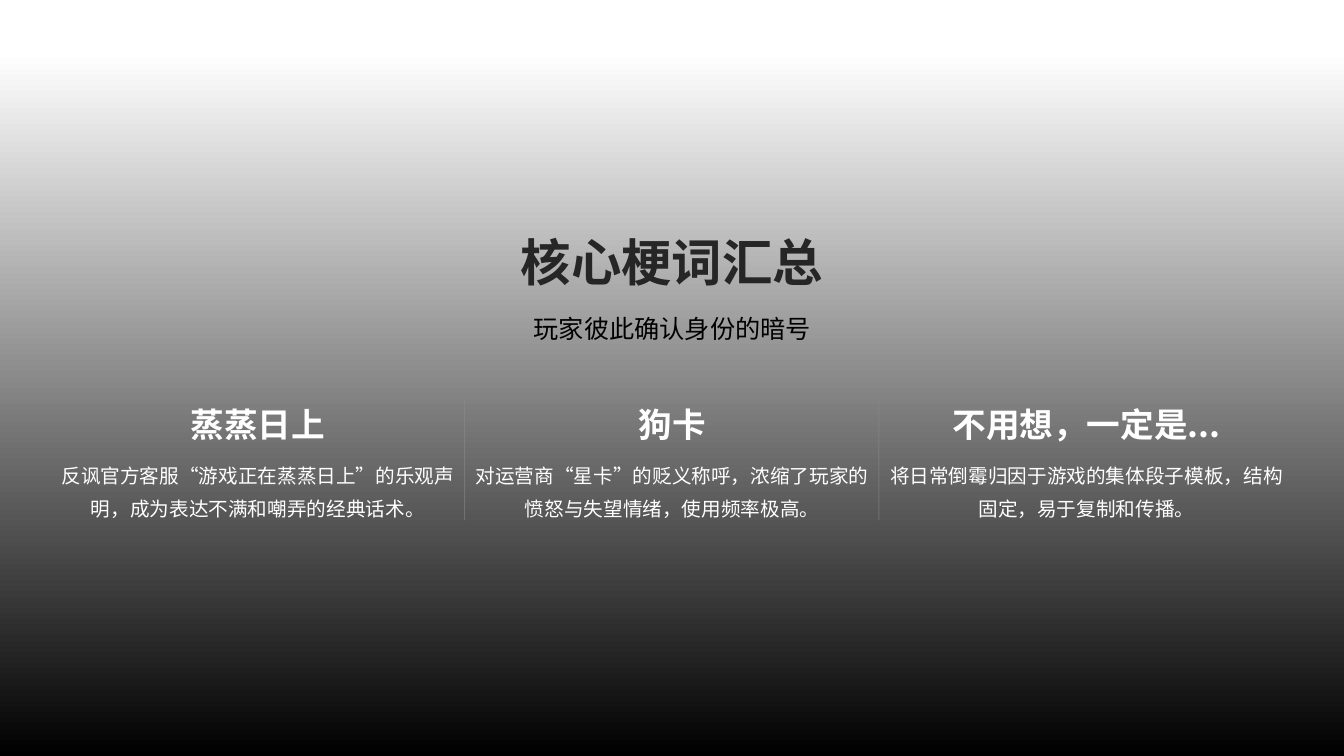
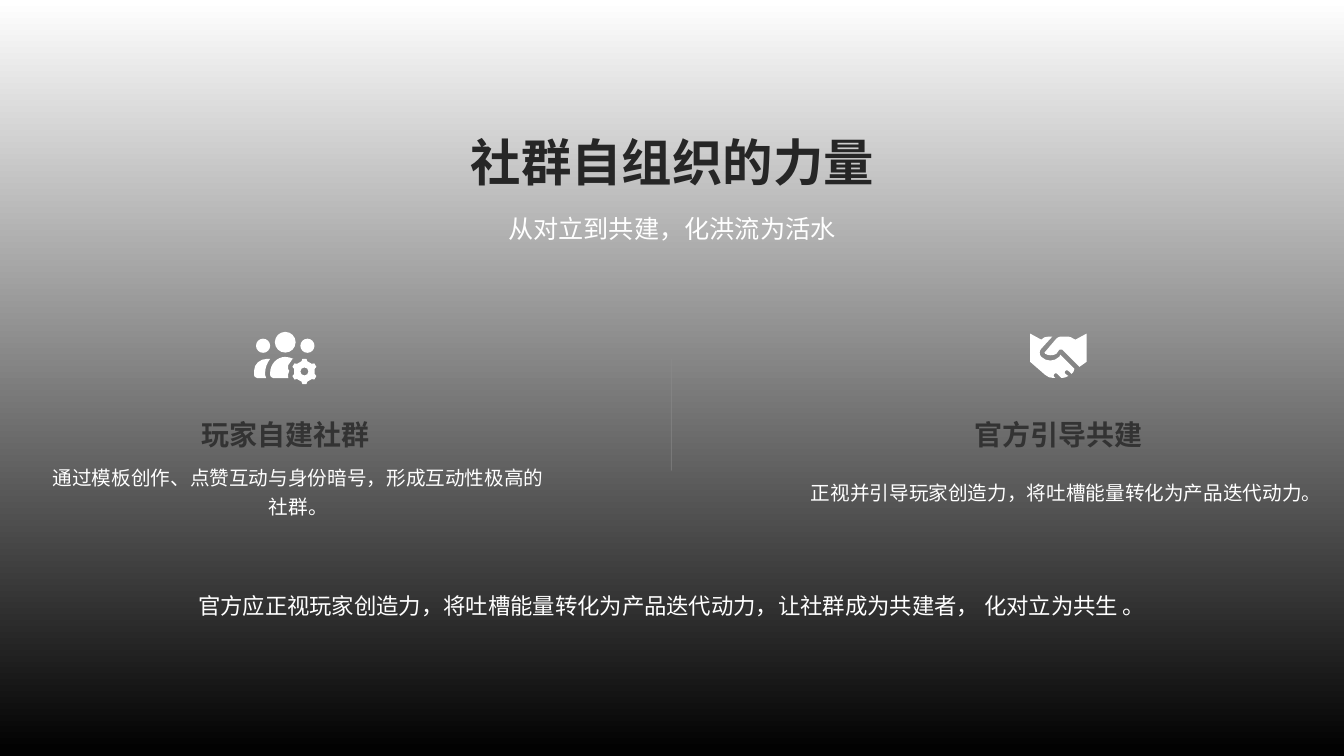
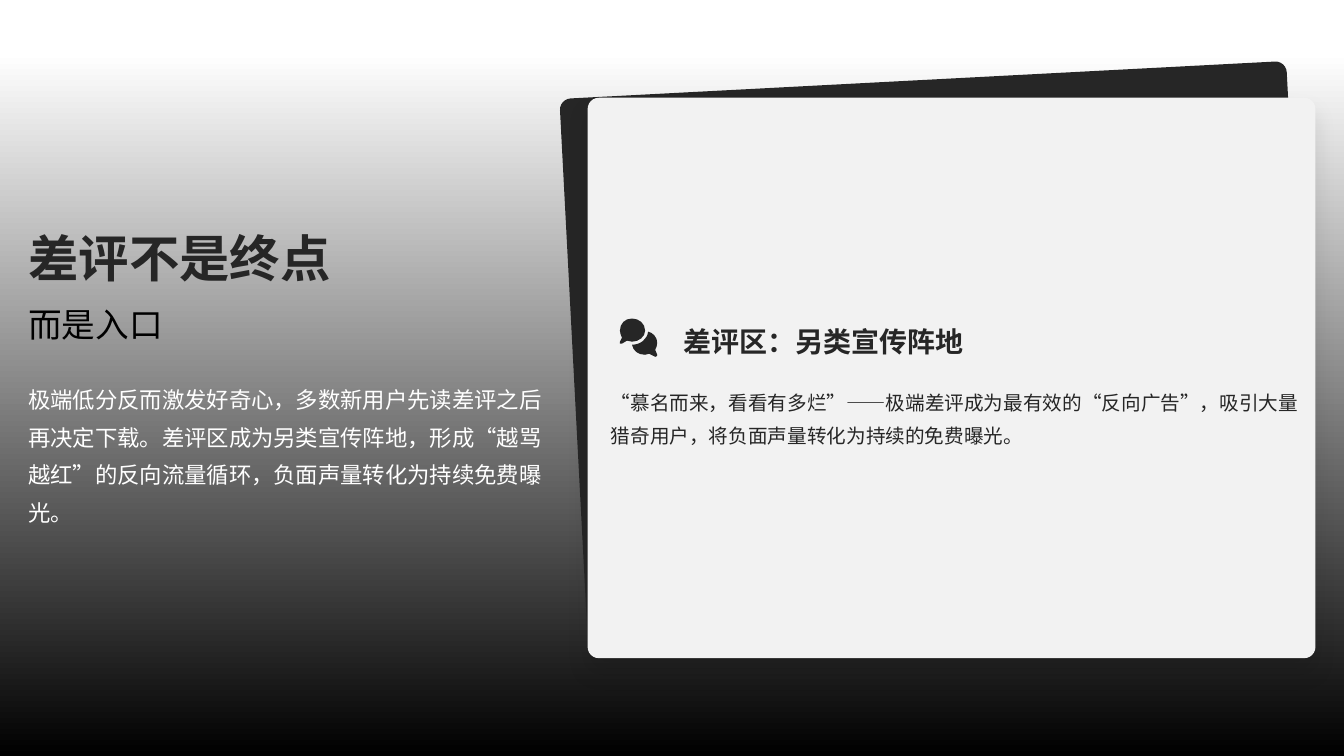
from dataclasses import dataclass
from math import cos, radians, sin

from lxml.etree import SubElement
from pptx import Presentation
from pptx.dml.color import RGBColor
from pptx.enum.shapes import MSO_CONNECTOR, MSO_SHAPE
from pptx.enum.text import MSO_ANCHOR, MSO_AUTO_SIZE, PP_ALIGN
from pptx.oxml.ns import qn
from pptx.util import Emu, Pt

PX = 9144
FONT = "Noto Sans CJK SC"
WHITE = RGBColor(0xFF, 0xFF, 0xFF)
BLACK = RGBColor(0x00, 0x00, 0x00)
DARK = RGBColor(0x26, 0x26, 0x26)
HEADING = RGBColor(0x33, 0x33, 0x33)
RULE = RGBColor(0x8C, 0x8C, 0x8C)
PANEL = RGBColor(0xF2, 0xF2, 0xF2)
LEFT, CENTER = PP_ALIGN.LEFT, PP_ALIGN.CENTER

Point = tuple[float, float]
Contour = list[tuple[float, ...]]
Box = tuple[int, int, int, int]


@dataclass(frozen=True)
class Style:
    size: int
    color: RGBColor
    spacing: float
    bold: bool = False
    align: PP_ALIGN = CENTER


@dataclass(frozen=True)
class Term:
    name: str
    meaning: str


@dataclass(frozen=True)
class Force:
    heading: str
    heading_x: int
    body: str
    body_x: int
    body_w: int
    icon: list[Contour]


def px(value: float) -> Emu:
    return Emu(round(value * PX))


def write(sp, box: Box, text: str, style: Style) -> None:
    sp.left, sp.top, sp.width, sp.height = map(px, box)
    tf = sp.text_frame
    tf.word_wrap = True
    tf.auto_size = MSO_AUTO_SIZE.NONE
    tf.vertical_anchor = MSO_ANCHOR.MIDDLE
    tf.margin_left = tf.margin_top = tf.margin_right = tf.margin_bottom = 0
    p = tf.paragraphs[0]
    p.text = text
    p.alignment = style.align
    p.line_spacing = style.spacing
    p.font.size = Pt(style.size)
    p.font.bold = style.bold
    p.font.color.rgb = style.color
    p.font.name = FONT
    latin = next(p._p.iter(qn("a:latin")))
    SubElement(latin.getparent(), qn("a:ea"), typeface=FONT)


def add_label(s, box: Box, text: str, style: Style) -> None:
    write(s.shapes.add_textbox(0, 0, 0, 0), box, text, style)


def add_slide(prs, title: str, box: Box, align: PP_ALIGN, white_until: float):
    s = prs.slides.add_slide(prs.slide_layouts[5])
    fill = s.background.fill
    fill.gradient()
    fill.gradient_angle = 270
    for stop, color, position in zip(fill.gradient_stops, (WHITE, BLACK), (white_until, 1)):
        stop.color.rgb = color
        stop.position = position
    write(s.shapes.title, box, title, Style(36, DARK, 0.9, True, align))
    return s


def add_divider(s, x: int, top: int, bottom: int) -> None:
    line = s.shapes.add_connector(MSO_CONNECTOR.STRAIGHT, px(x), px(top), px(x), px(bottom))
    line.line.color.rgb = RULE
    line.line.width = Pt(0.67)
    sp_pr = line._element.spPr
    SubElement(next(sp_pr.iter(qn("a:srgbClr"))), qn("a:alpha"), val="50000")
    SubElement(sp_pr, qn("a:effectLst"))


def paint(sp, color: RGBColor) -> None:
    sp.shadow.inherit = False
    sp.fill.solid()
    sp.fill.fore_color.rgb = color
    sp.line.fill.background()


def add_panel(s, box: Box, color: RGBColor, rotation: int = 0):
    sp = s.shapes.add_shape(MSO_SHAPE.ROUNDED_RECTANGLE, *map(px, box))
    sp.adjustments[0] = 0.02
    sp.rotation = rotation
    paint(sp, color)
    return sp


def add_soft_shadow(sp) -> None:
    effects = sp._element.spPr.find(qn("a:effectLst"))
    shadow = SubElement(effects, qn("a:outerShdw"), blurRad=str(Pt(15)), dist=str(Pt(10)),
                        dir="5400000", algn="ctr", rotWithShape="0")
    color = SubElement(shadow, qn("a:srgbClr"), val=str(BLACK))
    SubElement(color, qn("a:alpha"), val="10000")


def points_of(segment: tuple[float, ...]) -> list[tuple[Emu, Emu]]:
    return [(px(x), px(y)) for x, y in zip(segment[::2], segment[1::2])]


def add_icon(s, contours: list[Contour], color: RGBColor) -> None:
    builder = s.shapes.build_freeform(*points_of(contours[0][0])[0], scale=1.0)
    for i, (start, *segments) in enumerate(contours):
        if i:
            builder.move_to(*points_of(start)[0])
        builder.add_line_segments([pt for seg in segments for pt in points_of(seg)], close=True)
    sp = builder.convert_to_shape()
    bend_segments(sp, contours)
    paint(sp, color)


def bend_segments(sp, contours: list[Contour]) -> None:
    commands = iter(list(next(sp._element.iter(qn("a:path")))))
    for _, *segments in contours:
        next(commands)
        for segment in segments:
            first, *others = [next(commands) for _ in segment[::2]]
            if others:
                first.tag = qn("a:cubicBezTo")
                for command in others:
                    first.append(command[0])
                    command.getparent().remove(command)
        closing = next(commands)
        while closing.tag != qn("a:close"):
            closing = next(commands)


def polar(cx: float, cy: float, radius: float, degrees: float) -> Point:
    return cx + radius * cos(radians(degrees)), cy + radius * sin(radians(degrees))


def circle(cx: float, cy: float, r: float) -> Contour:
    k = 0.55 * r
    return [(cx, cy - r),
            (cx + k, cy - r, cx + r, cy - k, cx + r, cy),
            (cx + r, cy + k, cx + k, cy + r, cx, cy + r),
            (cx - k, cy + r, cx - r, cy + k, cx - r, cy),
            (cx - r, cy - k, cx - k, cy - r, cx, cy - r)]


def gear(cx: float, cy: float) -> Contour:
    tooth = ((-16, 10.5), (-9, 12.7), (9, 12.7), (16, 10.5))
    return [polar(cx, cy, radius, middle + offset)
            for middle in range(-90, 270, 60) for offset, radius in tooth]


COMMUNITY_ICON = [
    circle(283, 339.5, 10.3), circle(261, 343, 7), circle(305, 343, 7),
    [(252, 368), (252, 372), (252, 373, 253, 375, 255, 375), (264, 375),
     (263, 374, 263, 373, 263, 372), (263, 370), (263, 365, 265, 360, 268, 356),
     (267, 356, 266, 356, 265, 356), (258, 356, 252, 361, 252, 368)],
    [(268, 370), (268, 372), (268, 373, 269, 375, 271, 375), (286, 375),
     (285, 373, 286, 370, 287, 368), (286, 367, 285, 365, 286, 362),
     (287, 361, 288, 359, 289, 358), (289, 357, 290, 356, 291, 356),
     (288, 355, 286, 354, 283, 354), (275, 354, 268, 361, 268, 370)],
    gear(302, 368.5), circle(302, 368.5, 4),
]
HANDSHAKE_ICON = [
    [(1048, 336), (1037, 349), (1036, 349, 1036, 350, 1037, 351),
     (1040, 353, 1045, 353, 1048, 351), (1051, 347),
     (1051, 347, 1052, 347, 1052, 347), (1053, 347, 1053, 347, 1054, 347),
     (1071, 364), (1078, 359), (1078, 331), (1067, 337), (1065, 336),
     (1063, 335, 1062, 334, 1060, 334), (1053, 334),
     (1053, 334, 1053, 334, 1052, 334), (1051, 334, 1049, 335, 1048, 336)],
    [(1033, 346), (1044, 334), (1040, 334), (1037, 334, 1035, 335, 1033, 337),
     (1033, 337), (1022, 331), (1022, 359), (1037, 372),
     (1039, 374, 1042, 375, 1045, 375), (1047, 375), (1046, 374),
     (1045, 373, 1045, 372, 1046, 371), (1047, 370, 1048, 370, 1049, 371),
     (1053, 375), (1054, 375), (1056, 375, 1058, 374, 1060, 373), (1057, 371),
     (1056, 370, 1056, 368, 1057, 368), (1058, 367, 1059, 367, 1060, 368),
     (1063, 371), (1065, 369), (1066, 368, 1066, 367, 1066, 366), (1052, 352),
     (1051, 354), (1046, 359, 1038, 359, 1033, 354), (1031, 352, 1031, 348, 1033, 346)],
]
CHAT_ICON = [
    [(640, 328), (640, 334, 634, 339, 627, 339), (625, 339, 624, 339, 622, 338),
     (617, 341), (616, 341, 616, 341, 615, 341), (615, 340, 614, 340, 615, 339),
     (617, 335), (616, 333, 615, 330, 615, 328), (615, 321, 620, 316, 627, 316),
     (634, 316, 640, 321, 640, 328)],
    [(640, 352), (633, 352, 628, 348, 627, 342), (635, 342, 642, 337, 643, 329),
     (648, 330, 652, 335, 652, 340), (652, 343, 651, 345, 650, 347), (652, 352),
     (652, 352, 652, 353, 652, 353), (651, 354, 650, 354, 650, 354), (644, 351),
     (643, 351, 641, 352, 640, 352)],
]

TERMS = [
    Term("蒸蒸日上", "反讽官方客服“游戏正在蒸蒸日上”的乐观声明，成为表达不满和嘲弄的经典话术。"),
    Term("狗卡", "对运营商“星卡”的贬义称呼，浓缩了玩家的愤怒与失望情绪，使用频率极高。"),
    Term("不用想，一定是...", "将日常倒霉归因于游戏的集体段子模板，结构固定，易于复制和传播。"),
]
FORCES = [
    Force("玩家自建社群", 43, "通过模板创作、点赞互动与身份暗号，形成互动性极高的社群。", 46, 500,
          COMMUNITY_ICON),
    Force("官方引导共建", 810, "正视并引导玩家创造力，将吐槽能量转化为产品迭代动力。", 793, 530,
          HANDSHAKE_ICON),
]


def build_terms(prs) -> None:
    s = add_slide(prs, "核心梗词汇总", (15, 235, 1303, 56), CENTER, 0.07)
    add_label(s, (22, 302, 1290, 39), "玩家彼此确认身份的暗号", Style(18, BLACK, 1.3))
    left, width, pitch = 53, 406, 411
    for i, term in enumerate(TERMS):
        x = left + i * pitch
        add_label(s, (x, 397, width, 44), term.name, Style(24, WHITE, 1.1, True))
        add_label(s, (x + 3, 452, width - 6, 64), term.meaning, Style(14, WHITE, 1.4))
        if i:
            add_divider(s, x - 3, 396, 516)


def build_forces(prs) -> None:
    s = add_slide(prs, "社群自组织的力量", (467, 136, 425, 56), LEFT, 0)
    add_label(s, (504, 203, 338, 39), "从对立到共建，化洪流为活水",
              Style(18, WHITE, 1.3, align=LEFT))
    for force in FORCES:
        add_icon(s, force.icon, WHITE)
        add_label(s, (force.heading_x, 408, 481, 39), force.heading,
                  Style(20, HEADING, 1.2, True))
        add_label(s, (force.body_x, 458, force.body_w, 56), force.body, Style(14, WHITE, 1.2))
    add_divider(s, 666, 356, 467)
    add_label(s, (195, 580, 944, 33),
              "官方应正视玩家创造力，将吐槽能量转化为产品迭代动力，让社群成为共建者， 化对立为共生 。",
              Style(16, WHITE, 1.3))


def build_reviews(prs) -> None:
    s = add_slide(prs, "差评不是终点", (28, 231, 536, 56), LEFT, 0.07)
    add_label(s, (28, 297, 528, 44), "而是入口", Style(24, BLACK, 1.1, align=LEFT))
    add_label(s, (28, 375, 522, 144),
              "极端低分反而激发好奇心，多数新用户先读差评之后再决定下载。差评区成为另类宣传阵地，"
              "形成“越骂越红”的反向流量循环，负面声量转化为持续免费曝光。",
              Style(16, WHITE, 1.4, align=LEFT))
    add_panel(s, (569, 79, 722, 556), DARK, 357)
    add_soft_shadow(add_panel(s, (583, 97, 722, 556), PANEL))
    add_icon(s, CHAT_ICON, DARK)
    add_label(s, (678, 316, 292, 39), "差评区：另类宣传阵地", Style(20, DARK, 1.2, True, LEFT))
    add_label(s, (606, 379, 688, 64),
              "“慕名而来，看看有多烂”——极端差评成为最有效的“反向广告”，吸引大量猎奇用户，"
              "将负面声量转化为持续的免费曝光。",
              Style(14, DARK, 1.4, align=LEFT))


def main() -> None:
    prs = Presentation()
    prs.slide_width, prs.slide_height = Emu(12192000), px(750)
    for build in (build_terms, build_forces, build_reviews):
        build(prs)
    prs.save("out.pptx")


if __name__ == "__main__":
    main()
